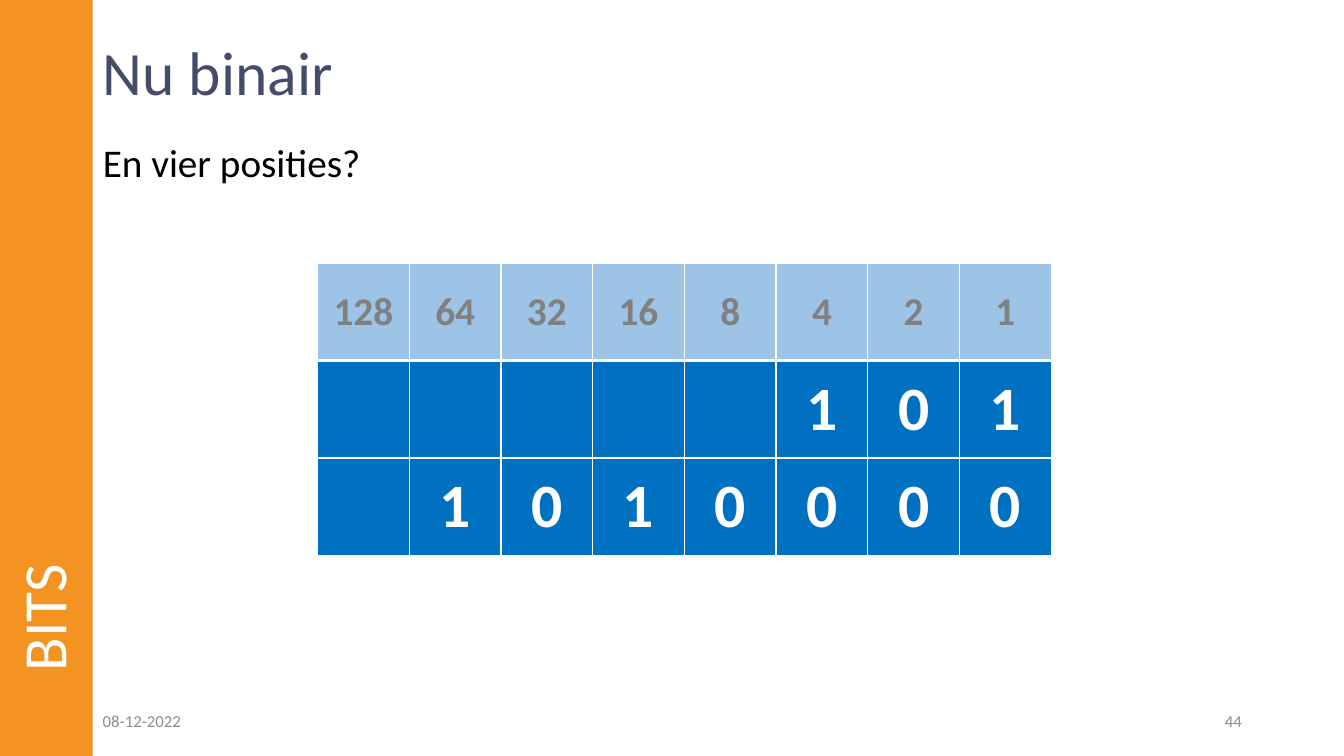
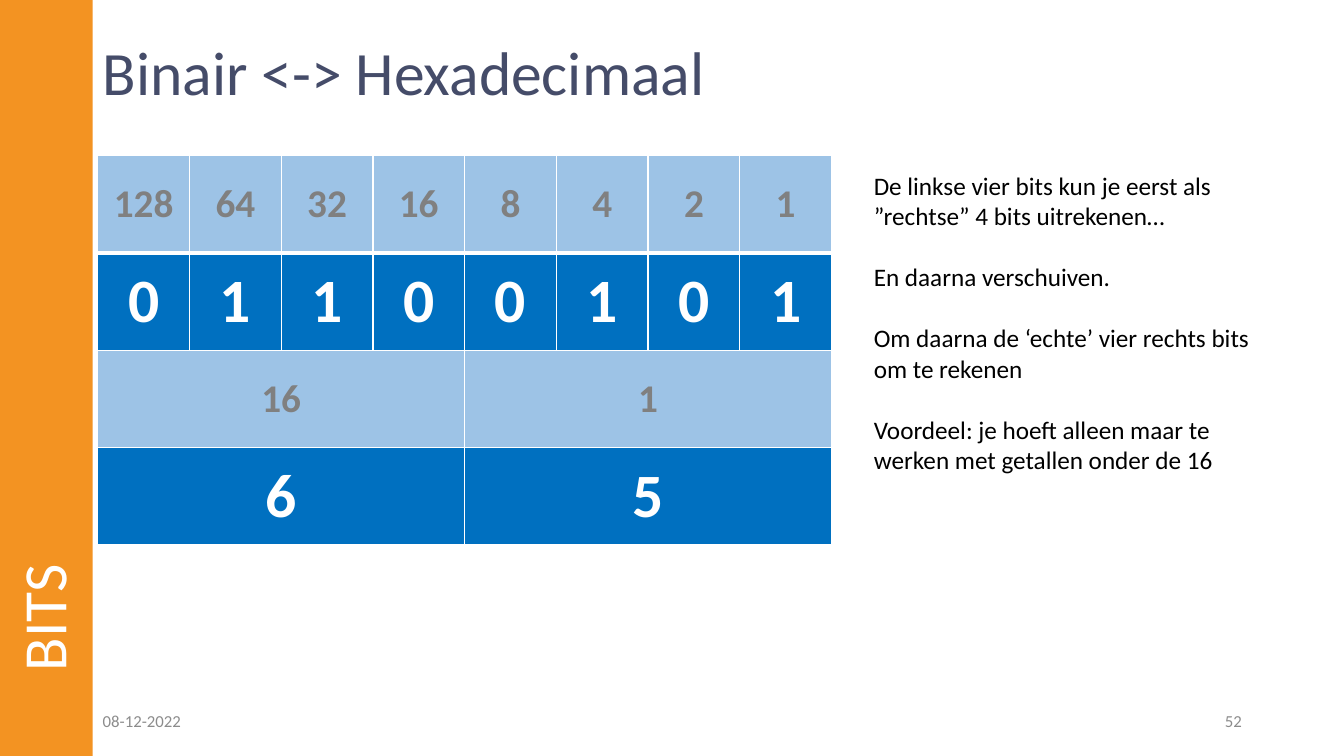
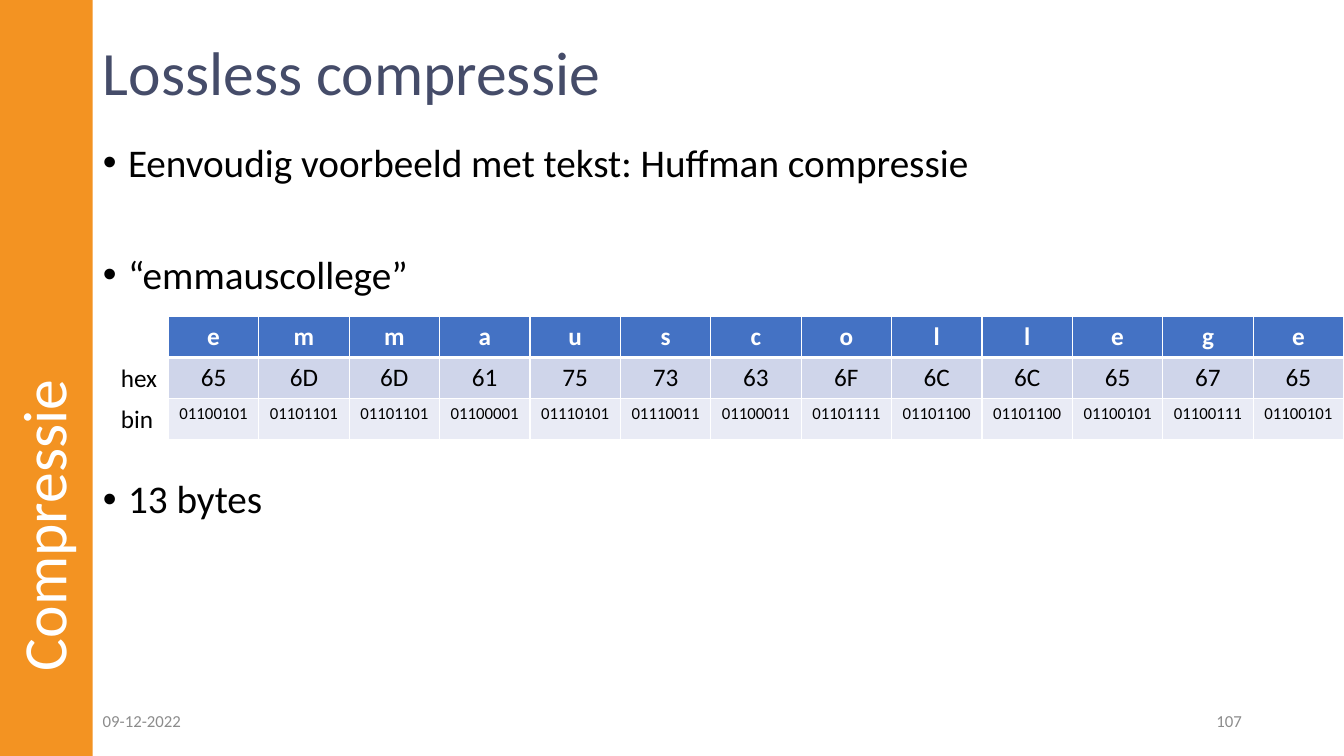
from lxml import etree
from pptx import Presentation
from pptx.dml.color import RGBColor
from pptx.enum import shapes, text
from pptx.oxml import ns
from pptx.util import Pt

FONT = "Calibri"
ORANGE = RGBColor(0xF3, 0x93, 0x22)
SLATE = RGBColor(0x45, 0x4C, 0x69)
BLACK = RGBColor(0, 0, 0)
WHITE = RGBColor(0xFF, 0xFF, 0xFF)
GREY = RGBColor(0x80, 0x80, 0x80)
FOOTER_GREY = RGBColor(0x8C, 0x8C, 0x8C)
LIGHT_BLUE = RGBColor(0x9D, 0xC3, 0xE6)
DARK_BLUE = RGBColor(0, 0x70, 0xC0)
HEAD_BLUE = RGBColor(0x44, 0x72, 0xC4)
PALE_BLUE = RGBColor(0xCF, 0xD5, 0xEA)
PALEST_BLUE = RGBColor(0xE9, 0xEB, 0xF5)

# Shared boxes: left, top, width, height in points
SLIDE_W, SLIDE_H = 960, 540
BAND = (0, 0, 66.24, SLIDE_H)
LABEL = (0, 0, 66.24, 486.72)
TITLE = (66.24, 23.04, 828, 61.92)
BODY = (66.24, 98.64, 828, 388.08)
DATE = (66.24, 500.4, 216, 28.8)
NUMBER = (678.24, 500.4, 216, 28.8)

LEFT, CENTER, RIGHT = (text.PP_ALIGN.LEFT, text.PP_ALIGN.CENTER,
                       text.PP_ALIGN.RIGHT)
TOP, MIDDLE = text.MSO_ANCHOR.TOP, text.MSO_ANCHOR.MIDDLE
BIT_WEIGHTS = [2 ** n for n in range(7, -1, -1)]


def place(sp, box):
    sp.left, sp.top, sp.width, sp.height = map(Pt, box)


def add_run(p, words, size, color, bold=False):
    r = p.add_run()
    r.text = words
    r.font.name, r.font.size, r.font.bold = FONT, Pt(size), bold
    r.font.color.rgb = color


def set_bullet(p, bulleted):
    pPr = p._p.get_or_add_pPr()
    indent = Pt(18) if bulleted else 0
    pPr.set("marL", str(indent))
    pPr.set("indent", str(-indent))
    if bulleted:
        etree.SubElement(pPr, ns.qn("a:buFont"), typeface="Arial")
        etree.SubElement(pPr, ns.qn("a:buChar"), char="•")
    else:
        etree.SubElement(pPr, ns.qn("a:buNone"))


def write(sp, lines, size, color, align=LEFT, anchor=TOP, gaps=(0,),
          spacing=None, bulleted=None):
    """Fill a shape; gaps holds the space before each line."""
    tf = sp.text_frame
    tf.word_wrap, tf.vertical_anchor = True, anchor
    tf.auto_size = text.MSO_AUTO_SIZE.NONE
    for i, (words, gap) in enumerate(zip(lines, gaps)):
        p = tf.add_paragraph() if i else tf.paragraphs[0]
        if bulleted is not None:
            set_bullet(p, bulleted)
        p.alignment, p.space_before = align, Pt(gap)
        if spacing:
            p.line_spacing = spacing
        add_run(p, words, size, color)


def add_text(s, box, lines, size, color, **style):
    write(s.shapes.add_textbox(*map(Pt, box)), lines, size, color, **style)


def add_base(prs, title, label, date, number, body=None, gaps=(0,),
             bulleted=False):
    """Slide with band, title, side label, footer and optional body."""
    s = prs.slides.add_slide(prs.slide_layouts[3 if body else 1])

    # Band, moved behind the placeholders
    band = s.shapes.add_shape(shapes.MSO_SHAPE.RECTANGLE, *map(Pt, BAND))
    band.shadow.inherit = False
    band.fill.solid()
    band.fill.fore_color.rgb = ORANGE
    band.line.fill.background()
    s.shapes._spTree.insert(2, band._element)

    place(s.shapes.title, TITLE)
    write(s.shapes.title, [title], 44, SLATE, anchor=MIDDLE, spacing=0.9)

    # Side label, turned about its own centre to read upwards
    left, top, w, h = LABEL
    side = s.placeholders[1]
    place(side, (left + (w - h) / 2, top + (h - w) / 2, h, w))
    side.rotation = 270
    write(side, [label], 44, WHITE, anchor=MIDDLE, spacing=0.9,
          bulleted=False)

    if body:
        place(s.placeholders[2], BODY)
        write(s.placeholders[2], body, 28, BLACK, gaps=gaps, spacing=0.9,
              bulleted=bulleted)

    # Footer
    add_text(s, DATE, [date], 12, FOOTER_GREY, anchor=MIDDLE)
    add_text(s, NUMBER, [number], 12, FOOTER_GREY, align=RIGHT, anchor=MIDDLE)
    return s


def set_borders(cell, row):
    """White grid, thicker under the first row."""
    widths = {"L": 1, "R": 1, "T": 3 if row == 1 else 1,
              "B": 3 if row == 0 else 1}
    tcPr = cell._tc.get_or_add_tcPr()
    for side, width in widths.items():
        ln = etree.SubElement(tcPr, ns.qn(f"a:ln{side}"), w=str(Pt(width)))
        fill = etree.SubElement(ln, ns.qn("a:solidFill"))
        etree.SubElement(fill, ns.qn("a:srgbClr"), val=str(WHITE))


def add_grid(s, box, rows, anchor):
    """Each row is (values, fill, size, colour, bold), spread evenly."""
    n_cols = len(rows[0][0])
    frame = s.shapes.add_table(len(rows), n_cols, *map(Pt, box))
    table = frame.table
    table.first_row = table.horz_banding = False
    for column in table.columns:
        column.width = Pt(box[2] / n_cols)
    for i, (values, fill, size, color, bold) in enumerate(rows):
        table.rows[i].height = Pt(box[3] / len(rows))
        for j in range(n_cols):
            cell = table.cell(i, j)
            set_borders(cell, i)
            cell.fill.solid()
            cell.fill.fore_color.rgb = fill
            cell.vertical_anchor = anchor
        span = n_cols // len(values)
        for k, value in enumerate(values):
            cell = table.cell(i, k * span)
            if span > 1:
                cell.merge(table.cell(i, (k + 1) * span - 1))
            p = cell.text_frame.paragraphs[0]
            p.alignment = CENTER
            if value != "":
                add_run(p, str(value), size, color, bold)


def weight_row(values):
    return values, LIGHT_BLUE, 28, GREY, True


def digit_row(values):
    return values, DARK_BLUE, 44, WHITE, True


def add_binary_slide(prs):
    s = add_base(prs, "Nu binair", "BITS", "08-12-2022", "44",
                 body=["En vier posities?"])
    rows = [weight_row(BIT_WEIGHTS)]
    rows += [digit_row([""] * (8 - len(bits)) + list(bits))
             for bits in ("101", "1010000")]
    add_grid(s, (226.8, 187.92, 524.16, 208.8), rows, MIDDLE)


def add_hexadecimal_slide(prs):
    s = add_base(prs, "Binair <-> Hexadecimaal", "BITS", "08-12-2022", "52")
    add_text(s, (617.04, 118.08, 298.8, 225.36), [
        "De linkse vier bits kun je eerst als ”rechtse” 4 bits uitrekenen…",
        "En daarna verschuiven.",
        "Om daarna de ‘echte’ vier rechts bits om te rekenen",
        "Voordeel: je hoeft alleen maar te werken met getallen onder de 16",
    ], 18, BLACK, gaps=(0, 22, 22, 22))
    rows = [weight_row(BIT_WEIGHTS), digit_row("01100101"),
            weight_row([16, 1]), digit_row("65")]
    add_grid(s, (69.84, 110.88, 524.16, 278.4), rows, MIDDLE)


def add_compression_slide(prs):
    word = "emmauscollege"
    s = add_base(prs, "Lossless compressie", "Compressie", "09-12-2022", "107",
                 body=["Eenvoudig voorbeeld met tekst: Huffman compressie",
                       f"“{word}”", f"{len(word)} bytes"],
                 gaps=(0, 50, 130), bulleted=True)
    left, top, width, row_h = 120.24, 226.08, 839.52, 29.28
    rows = [
        (word, HEAD_BLUE, 18, WHITE, True),
        ([f"{ord(c):02X}" for c in word], PALE_BLUE, 18, BLACK, False),
        ([f"{ord(c):08b}" for c in word], PALEST_BLUE, 12, BLACK, False),
    ]
    add_grid(s, (left, top, width, row_h * len(rows)), rows, TOP)
    # Row names left of the table
    for i, name in enumerate(("hex", "bin"), start=1):
        add_text(s, (left - 41, top + i * row_h, 52.56, row_h), [name], 18,
                 BLACK)


def main():
    prs = Presentation()
    prs.slide_width, prs.slide_height = Pt(SLIDE_W), Pt(SLIDE_H)
    add_binary_slide(prs)
    add_hexadecimal_slide(prs)
    add_compression_slide(prs)
    prs.save("out.pptx")


if __name__ == "__main__":
    main()
